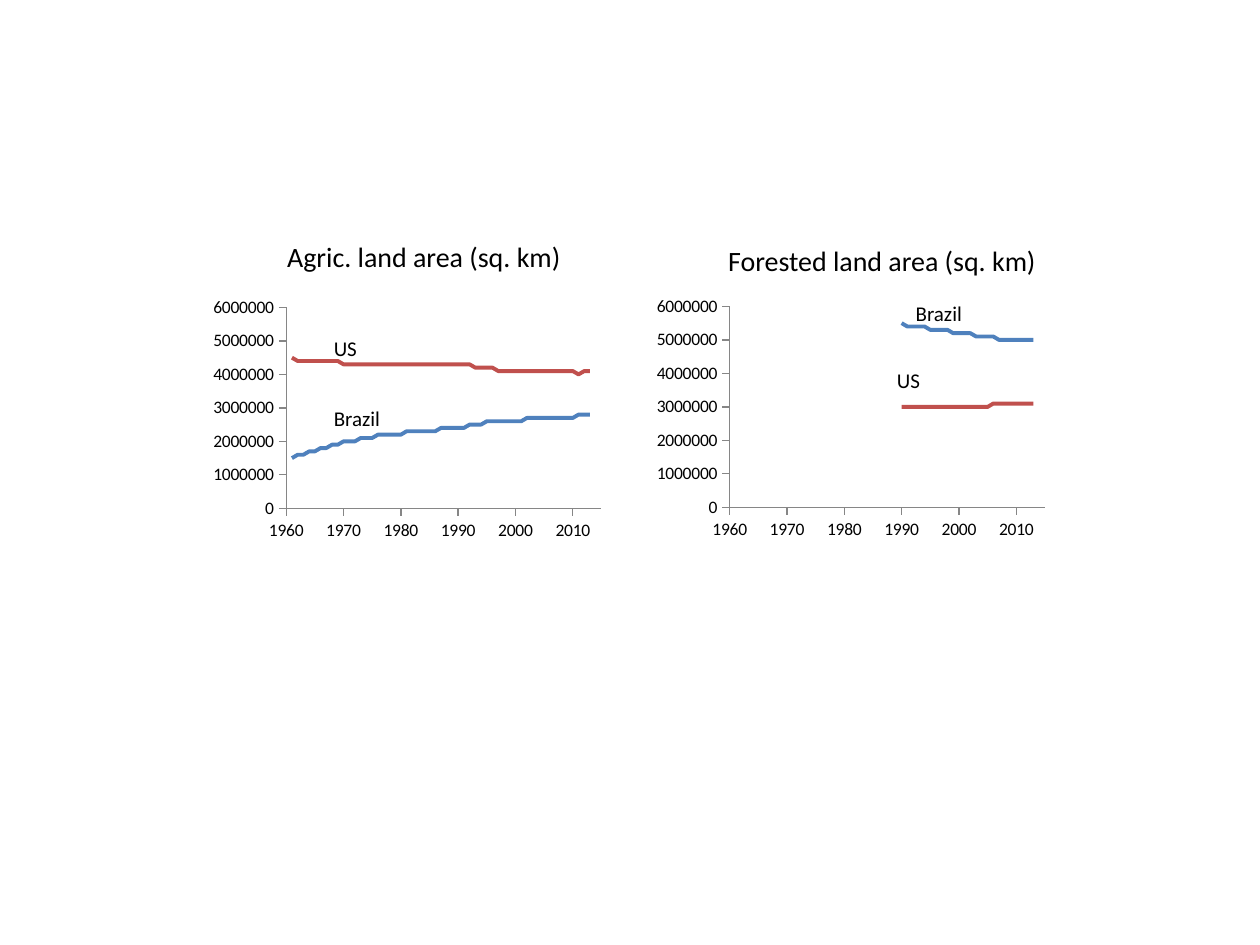
import lxml.etree
import pptx
import pptx.chart.data
import pptx.dml.color
import pptx.enum.chart
import pptx.enum.text
import pptx.oxml
import pptx.oxml.ns
import pptx.util
from pptx.util import Cm

FONT = "Calibri"
BLACK = "000000"
AXIS_GRAY = "868686"
COUNTRY_COLORS = {"Brazil": "4F81BD", "US": "C0504D"}
CHART_WIDTH, CHART_HEIGHT = 8.15, 5.13
PLOT_AREA = {"x": 0.2, "y": 0.06, "w": 0.78, "h": 0.79}
AREA_UNIT = 100000
FIRST_YEAR, LAST_YEAR = 1960, 2014

AGRICULTURAL = {
    "Brazil": [15] + [16] * 2 + [17] * 2 + [18] * 2 + [19] * 2 + [20] * 3 + [21] * 3 + [22] * 5
    + [23] * 6 + [24] * 5 + [25] * 3 + [26] * 7 + [27] * 9 + [28] * 3,
    "US": [45] + [44] * 8 + [43] * 23 + [42] * 4 + [41] * 14 + [40] + [41] * 2,
}
FORESTED = {
    "Brazil": [55] + [54] * 4 + [53] * 4 + [52] * 4 + [51] * 4 + [50] * 7,
    "US": [30] * 16 + [31] * 8,
}


def rgb(hex_color):
    return pptx.dml.color.RGBColor.from_string(hex_color)


def add_label(slide, text, left, top, width, height, size):
    label = slide.shapes.add_textbox(Cm(left), Cm(top), Cm(width), Cm(height))
    label.text_frame.word_wrap = False
    label.text_frame.auto_size = pptx.enum.text.MSO_AUTO_SIZE.SHAPE_TO_FIT_TEXT
    paragraph = label.text_frame.paragraphs[0]
    paragraph.text = text
    paragraph.font.name = FONT
    paragraph.font.size = pptx.util.Pt(size)
    paragraph.font.color.rgb = rgb(BLACK)


def fix_plot_area(chart):
    plot_area = chart._chartSpace.chart.plotArea
    for layout in plot_area.findall(pptx.oxml.ns.qn("c:layout")):
        plot_area.remove(layout)
    layout = lxml.etree.Element(pptx.oxml.ns.qn("c:layout"))
    manual = lxml.etree.SubElement(layout, pptx.oxml.ns.qn("c:manualLayout"))
    settings = {"layoutTarget": "inner", "xMode": "edge", "yMode": "edge", **PLOT_AREA}
    for tag, value in settings.items():
        lxml.etree.SubElement(manual, pptx.oxml.ns.qn(f"c:{tag}")).set("val", str(value))
    plot_area.insert(0, layout)


def clear_missing_years(series):
    for point in series._element.xpath("./c:yVal//c:pt[c:v='None']"):
        point.getparent().remove(point)


def style_axis(axis, minimum, maximum, step):
    axis.minimum_scale = minimum
    axis.maximum_scale = maximum
    axis.major_unit = step
    axis.has_major_gridlines = False
    axis.major_tick_mark = pptx.enum.chart.XL_TICK_MARK.OUTSIDE
    axis.minor_tick_mark = pptx.enum.chart.XL_TICK_MARK.NONE
    axis.tick_labels.number_format = "General"
    axis.tick_labels.number_format_is_linked = False
    axis.format.line.color.rgb = rgb(AXIS_GRAY)
    axis.format.line.width = pptx.util.Pt(0.75)


def add_land_chart(slide, left, top, start_year, areas):
    land_data = pptx.chart.data.XyChartData()
    for country, values in areas.items():
        country_data = land_data.add_series(country)
        area_by_year = {year: value * AREA_UNIT for year, value in enumerate(values, start_year)}
        for year in range(FIRST_YEAR, LAST_YEAR + 1):
            country_data.add_data_point(year, area_by_year.get(year))
    chart = slide.shapes.add_chart(
        pptx.enum.chart.XL_CHART_TYPE.XY_SCATTER_SMOOTH_NO_MARKERS,
        Cm(left), Cm(top), Cm(CHART_WIDTH), Cm(CHART_HEIGHT), land_data,
    ).chart
    chart.has_title = False
    chart.has_legend = False
    chart.font.name = FONT
    chart.font.size = pptx.util.Pt(10)
    chart.font.color.rgb = rgb(BLACK)
    chart.plots[0].vary_by_categories = False
    for series in chart.plots[0].series:
        clear_missing_years(series)
        series.smooth = True
        series.marker.style = pptx.enum.chart.XL_MARKER_STYLE.NONE
        series.format.line.color.rgb = rgb(COUNTRY_COLORS[series.name])
        series.format.line.width = pptx.util.Pt(2.25)
    style_axis(chart.category_axis, 1960, 2015, 10)
    style_axis(chart.value_axis, 0, 6000000, 1000000)
    fix_plot_area(chart)


def add_land_panel(slide, left, top, title, title_box, start_year, areas, country_boxes):
    add_land_chart(slide, left, top, start_year, areas)
    x, y, width = title_box
    add_label(slide, title, left + x, top + y, width, 0.94, 16)
    for country, (x, y, width) in country_boxes.items():
        add_label(slide, country, left + x, top + y, width, 0.76, 12)


def main():
    presentation = pptx.Presentation()
    presentation.slide_width = Cm(25.4)
    presentation.slide_height = Cm(19.05)
    slide = presentation.slides.add_slide(presentation.slide_layouts[6])
    add_land_panel(
        slide, 4.14, 5.89, "Agric. land area (sq. km)", (1.4, -1.19, 6.07), 1961, AGRICULTURAL,
        {"US": (2.34, 0.74, 0.99), "Brazil": (2.34, 2.16, 1.45)},
    )
    add_land_panel(
        slide, 13.08, 5.87, "Forested land area (sq. km)", (1.35, -1.08, 6.78), 1990, FORESTED,
        {"Brazil": (5.13, 0.06, 1.45), "US": (4.75, 1.42, 0.99)},
    )
    presentation.save("out.pptx")


if __name__ == "__main__":
    main()
